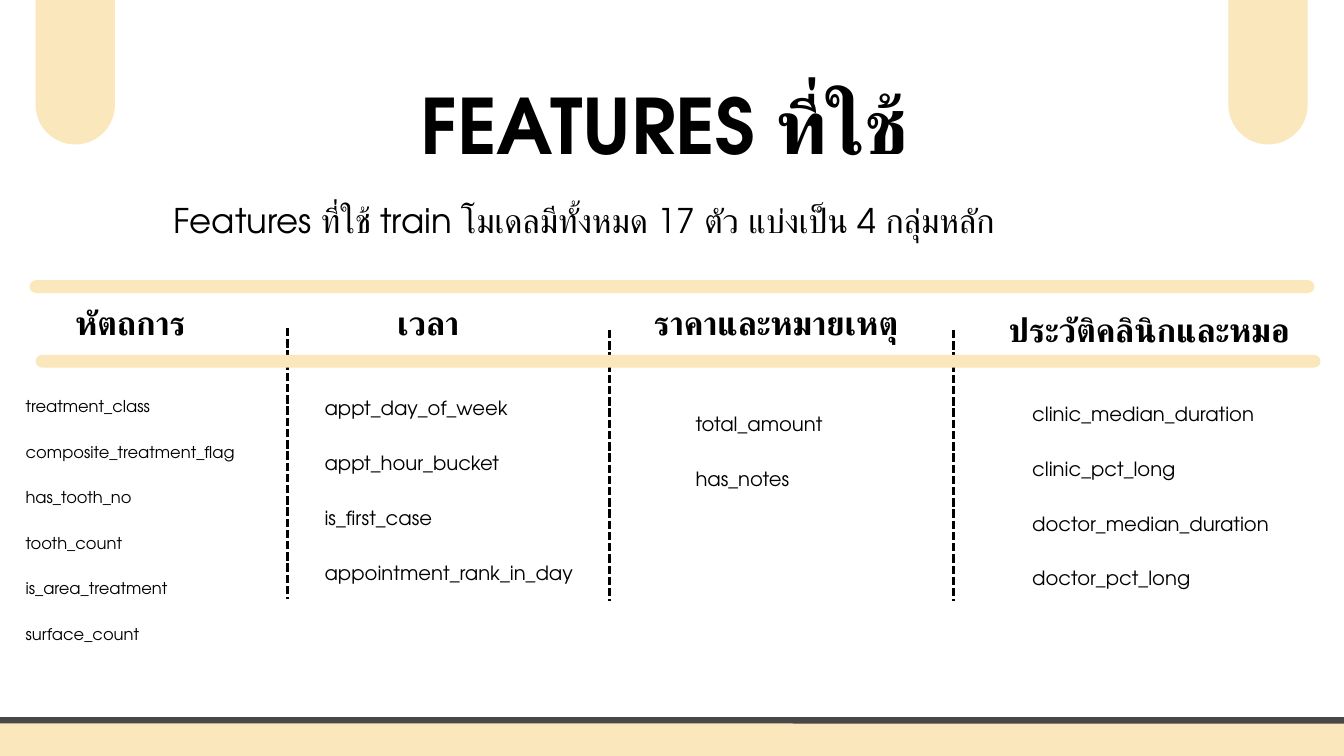
"""Build the slide that lists the model features in four groups."""
from lxml import etree
from pptx import Presentation
from pptx.dml.color import RGBColor
from pptx.enum.dml import MSO_LINE
from pptx.enum.shapes import MSO_CONNECTOR, MSO_SHAPE
from pptx.enum.text import MSO_ANCHOR, MSO_AUTO_SIZE, PP_ALIGN
from pptx.oxml.ns import qn
from pptx.util import Inches, Pt

LEFT, CENTER, JUSTIFY = PP_ALIGN.LEFT, PP_ALIGN.CENTER, PP_ALIGN.JUSTIFY
TOP = MSO_ANCHOR.TOP
NO_AUTOFIT = MSO_AUTO_SIZE.NONE
ROUNDED = MSO_SHAPE.ROUNDED_RECTANGLE
STRAIGHT = MSO_CONNECTOR.STRAIGHT
DASH = MSO_LINE.SQUARE_DOT
COMPARISON_LAYOUT = 4

GROUPS = [
    {
        "heading": ("หัตถการ", 1.12, 4.4, 1.98),
        "features": ["treatment_class", "composite_treatment_flag", "has_tooth_no",
                     "tooth_count", "is_area_treatment", "surface_count"],
        "place": (0.38, 5.85, 3.7, 4.71), "size": 17.5, "leading": 24.4,
    },
    {
        "heading": ("เวลา", 5.91, 4.4, 1.01),
        "features": ["appt_day_of_week", "appt_hour_bucket", "is_first_case",
                     "appointment_rank_in_day"],
        "place": (4.83, 5.84, 3.81, 3.23), "size": 21, "leading": 29.4,
    },
    {
        "heading": ("ราคาและหมายเหตุ", 9.73, 4.4, 3.86),
        "features": ["total_amount", "has_notes"],
        "place": (10.35, 6.07, 2.28, 2.01), "size": 21, "leading": 29.4,
    },
    {
        "heading": ("ประวัติคลินิกและหมอ", 15.01, 4.5, 4.46),
        "features": ["clinic_median_duration", "clinic_pct_long",
                     "doctor_median_duration", "doctor_pct_long"],
        "place": (15.36, 5.92, 3.84, 3.23), "size": 21, "leading": 29.4,
    },
]


def color(value):
    """Turn a hex string into a colour."""
    return RGBColor.from_string(value)


def write(box, lines, *, size, leading, gap=0, bold=False, align=LEFT):
    """Fill a box with one plain paragraph per line of text."""
    frame = box.text_frame
    frame.word_wrap = True
    frame.auto_size = NO_AUTOFIT
    frame.vertical_anchor = TOP
    frame.margin_left = frame.margin_right = frame.margin_top = frame.margin_bottom = 0
    for index, text in enumerate(lines):
        para = frame.add_paragraph() if index else frame.paragraphs[0]
        properties = para._p.get_or_add_pPr()
        properties.set("marL", "0")
        properties.set("indent", "0")
        etree.SubElement(properties, qn("a:buNone"))
        para.alignment = align
        para.line_spacing = Pt(leading)
        para.space_before = Pt(gap if index else 0)
        para.space_after = Pt(0)
        span = para.add_run()
        span.text = text
        span.font.size = Pt(size)
        span.font.bold = bold
        span.font.color.rgb = color(Page.ink)
        span.font.name = Page.font
        complex_font = etree.SubElement(span._r.get_or_add_rPr(), qn("a:cs"))
        complex_font.set("typeface", Page.font)


class Page:
    """Hold the style and the current slide."""

    font = "TeX Gyre Adventor"
    ink = "000000"
    cream = "FAE7BC"
    edge = "494848"

    def __init__(self, slide):
        """Keep the slide to draw on."""
        self.slide = slide

    def holder(self, index, place, lines, **style):
        """Move a placeholder and fill it with text."""
        box = self.slide.placeholders[index]
        box.left, box.top, box.width, box.height = map(Inches, place)
        write(box, lines, **style)

    def label(self, place, text, **style):
        """Add a text box with one line."""
        write(self.slide.shapes.add_textbox(*map(Inches, place)), [text], **style)

    def bar(self, place, rounding=0.5, border=None):
        """Add a cream bar with rounded ends."""
        shape = self.slide.shapes.add_shape(ROUNDED, *map(Inches, place))
        shape.adjustments[0] = rounding
        shape.shadow.inherit = False
        shape.fill.solid()
        shape.fill.fore_color.rgb = color(self.cream)
        if border:
            shape.line.color.rgb = color(self.edge)
            shape.line.width = Pt(border)
        else:
            shape.line.fill.background()

    def divider(self, left, top, length):
        """Add a dashed vertical line."""
        ends = map(Inches, (left, top, left, top + length))
        line = self.slide.shapes.add_connector(STRAIGHT, *ends)
        line.line.color.rgb = color(self.ink)
        line.line.width = Pt(3)
        line.line.dash_style = DASH
        etree.SubElement(line._element.spPr, qn("a:effectLst"))


def main():
    """Build and save the deck."""
    deck = Presentation()
    deck.slide_width, deck.slide_height = Inches(20), Inches(11.25)
    page = Page(deck.slides.add_slide(deck.slide_layouts[COMPARISON_LAYOUT]))

    for left in (0.53, 18.28):
        page.bar((left, -1.08, 1.18, 3.23))
    page.bar((-0.58, 10.72, 21.16, 0.9), rounding=0.1, border=6.75)

    page.holder(0, (5.22, 0.94, 9.34, 1.52), ["FEATURES ที่ใช้"],
                size=81.9, leading=114.7, bold=True, align=CENTER)
    page.label((2.58, 2.87, 15.54, 0.67),
               "Features ที่ใช้ train โมเดลมีทั้งหมด 17 ตัว แบ่งเป็น 4 กลุ่มหลัก",
               size=36.4, leading=51)

    for index, group in enumerate(GROUPS, start=1):
        text, left, top, width = group["heading"]
        page.label((left, top, width, 0.67), text,
                   size=35.5, leading=49.8, bold=True, align=JUSTIFY)
        page.holder(index, group["place"], group["features"], size=group["size"],
                    leading=group["leading"], gap=group["leading"])

    for left, top in ((4.28, 4.88), (9.07, 4.91), (14.19, 4.91)):
        page.divider(left, top, 4.04)
    for left, top in ((0.53, 5.28), (0.44, 4.17)):
        page.bar((left, top, 19.12, 0.19))

    deck.save("out.pptx")


if __name__ == "__main__":
    main()
